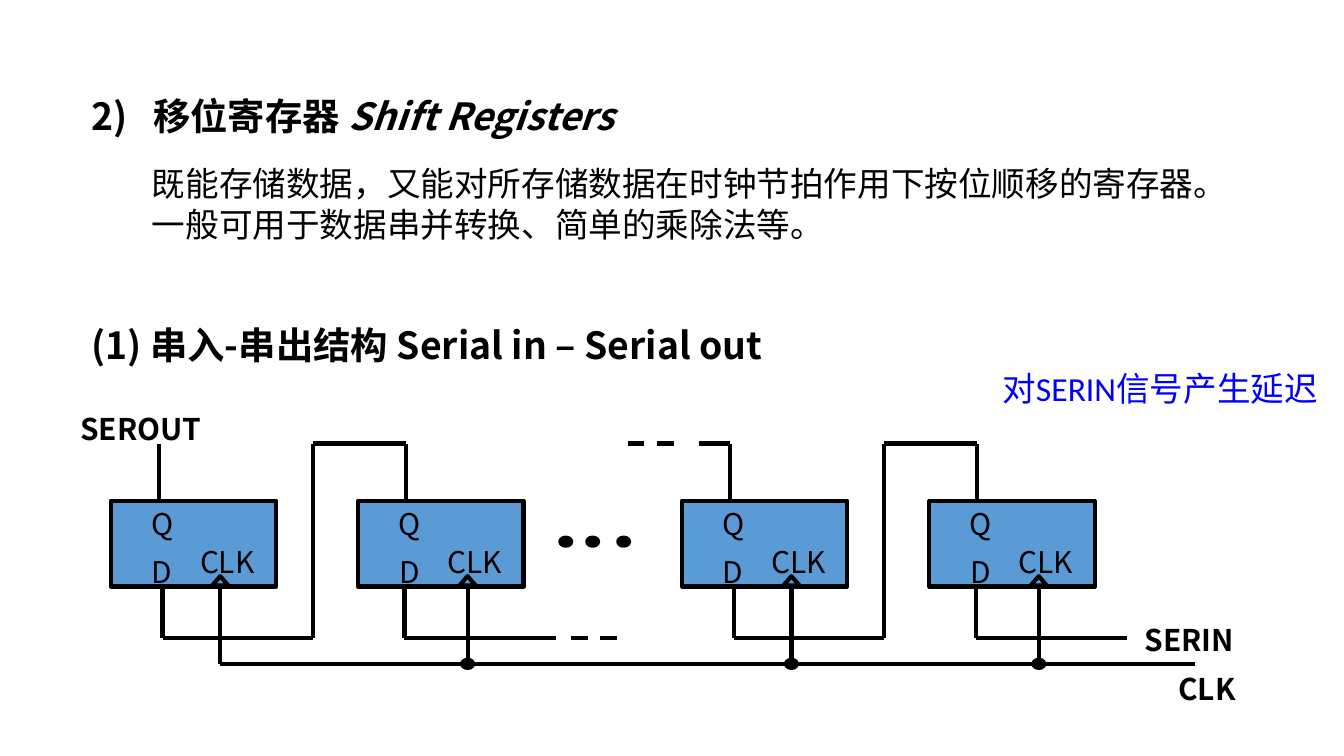
from dataclasses import dataclass

from lxml import etree
from pptx import Presentation
from pptx.dml.color import RGBColor
from pptx.enum import dml, shapes, text
from pptx.oxml import ns
from pptx.util import Pt


@dataclass(frozen=True)
class Theme:
    ink: str = "000000"
    block: str = "5B9BD5"
    note: str = "0000FF"
    heading_font: str = "Noto Sans CJK JP"
    label_font: str = "Noto Sans CJK SC"
    note_font: str = "Calibri"
    heading: int = 20
    body: int = 18
    label: int = 16
    stroke: float = 2.25
    leading: float = 1.22


class Diagram:
    """Draws on one slide; all lengths are in points."""

    def __init__(self, slide, theme):
        self.slide = slide
        self.theme = theme

    def place(self, holder, left, top, width, height):
        holder.left, holder.top = Pt(left), Pt(top)
        holder.width, holder.height = Pt(width), Pt(height)
        frame = holder.text_frame
        frame.word_wrap = True
        frame.auto_size = text.MSO_AUTO_SIZE.NONE
        frame.vertical_anchor = text.MSO_ANCHOR.TOP
        return frame

    def style(self, paragraph, size, font, color, bold=False, leading=None):
        paragraph.alignment = text.PP_ALIGN.LEFT
        paragraph.space_before = Pt(0)
        if leading:
            paragraph.line_spacing = Pt(leading)
        face = paragraph.font
        face.size, face.bold, face.name = Pt(size), bold, font
        face.color.rgb = RGBColor.from_string(color)
        if font != self.theme.note_font:
            properties = paragraph._p.pPr.find(ns.qn("a:defRPr"))
            etree.SubElement(properties, ns.qn("a:ea"), typeface=font)

    def title(self, number, chinese, english, tab, box):
        t = self.theme
        paragraph = self.place(self.slide.shapes.title, *box).paragraphs[0]
        paragraph.add_run().text = f"{number}\t{chinese} "
        translation = paragraph.add_run()
        translation.text = english
        translation.font.italic = True
        stops = etree.SubElement(paragraph._p.get_or_add_pPr(), ns.qn("a:tabLst"))
        etree.SubElement(stops, ns.qn("a:tab"), pos=str(Pt(tab)), algn="l")
        self.style(paragraph, t.heading, t.heading_font, t.ink, True, 23)

    def body(self, lines, box):
        t = self.theme
        frame = self.place(self.slide.placeholders[1], *box)
        frame.text = "\n".join(lines)
        for paragraph in frame.paragraphs:
            properties = paragraph._p.get_or_add_pPr()
            properties.set("marL", "0")
            properties.set("indent", "0")
            etree.SubElement(properties, ns.qn("a:buNone"))
            self.style(paragraph, t.body, t.heading_font, t.ink,
                       leading=t.body * t.leading)

    def text(self, words, box, size, font, color, bold=False, leading=None):
        frame = self.place(self.slide.shapes.add_textbox(0, 0, 0, 0), *box)
        frame.text = words
        self.style(frame.paragraphs[0], size, font, color, bold, leading)

    def label(self, words, left, top, width, bold=False):
        t = self.theme
        self.text(words, (left, top, width, 26.6), t.label, t.label_font,
                  t.ink, bold, t.label * t.leading)

    def shape(self, kind, left, top, width, height, fill):
        item = self.slide.shapes.add_shape(
            kind, Pt(left), Pt(top), Pt(width), Pt(height))
        item.shadow.inherit = False
        item.fill.solid()
        item.fill.fore_color.rgb = RGBColor.from_string(fill)
        self.stroke(item)

    def dot(self, x, y):
        width, height = 5.8, 4.3
        self.shape(shapes.MSO_SHAPE.OVAL, x - width / 2, y - height / 2,
                   width, height, self.theme.ink)

    def wire(self, x1, y1, x2, y2, dashed=False):
        line = self.slide.shapes.add_connector(
            shapes.MSO_CONNECTOR.STRAIGHT, Pt(x1), Pt(y1), Pt(x2), Pt(y2))
        etree.SubElement(line._element.spPr, ns.qn("a:effectLst"))
        self.stroke(line)
        if dashed:
            line.line.dash_style = dml.MSO_LINE.DASH

    def stroke(self, item):
        item.line.color.rgb = RGBColor.from_string(self.theme.ink)
        item.line.width = Pt(self.theme.stroke)


# Circuit levels and offsets from a flip-flop's left edge
Q_RAIL, BLOCK_TOP, BLOCK_BOTTOM, D_RAIL, CLK_BUS = 237.6, 268.2, 314.3, 342, 355.7
Q_PIN, CLK_PIN, LOOP = 25.7, 58.6, -24.1
D_PINS = (27.7, 24.8)
PAIR_STARTS, STAGE_PITCH = (59.4, 365.4), 132.5
D_WIRE = 81.2


def flip_flop(diagram, left, d_pin):
    diagram.shape(shapes.MSO_SHAPE.RECTANGLE, left, BLOCK_TOP, 88.6,
                  BLOCK_BOTTOM - BLOCK_TOP, diagram.theme.block)
    for pin, dx, top, width in (("D", 14.8, 293, 19.4), ("Q", 14.6, 267.1, 19.4),
                                ("CLK", 40.7, 287.3, 46.1)):
        diagram.label(pin, left + dx, top, width)
    diagram.wire(left + d_pin, D_RAIL, left + d_pin, BLOCK_BOTTOM)
    diagram.wire(left + Q_PIN, BLOCK_TOP, left + Q_PIN, Q_RAIL)
    diagram.wire(left + CLK_PIN, CLK_BUS, left + CLK_PIN, BLOCK_BOTTOM)
    diagram.shape(shapes.MSO_SHAPE.FLOWCHART_EXTRACT, left + CLK_PIN - 4.3, 308.7,
                  8.6, 5, diagram.theme.block)


def main():
    deck = Presentation()
    deck.slide_width, deck.slide_height = Pt(720), Pt(405)
    t = Theme()
    diagram = Diagram(deck.slides.add_slide(deck.slide_layouts[1]), t)

    # Headings and description
    diagram.title("2)", "移位寄存器", "Shift Registers", 33, (41.8, 47.5, 498, 40.3))
    diagram.body(("既能存储数据，又能对所存储数据在时钟节拍作用下按位顺移的寄存器。",
                  "一般可用于数据串并转换、简单的乘除法等。"), (74.2, 83.5, 619, 51))
    diagram.text("(1) 串入-串出结构 Serial in – Serial out", (41.8, 168.5, 516, 31),
                 t.heading, t.heading_font, t.ink, True, t.heading * t.leading)

    # Two pairs of flip-flops, each pair joined by a D-to-Q loop
    for start in PAIR_STARTS:
        following = start + STAGE_PITCH
        for left, d_pin in zip((start, following), D_PINS):
            flip_flop(diagram, left, d_pin)
        loop = following + LOOP
        diagram.wire(start + D_PINS[0], D_RAIL, loop, D_RAIL)
        diagram.wire(loop, Q_RAIL, loop, D_RAIL)
        diagram.wire(loop, Q_RAIL, following + Q_PIN, Q_RAIL)
        diagram.wire(following + D_PINS[1], D_RAIL,
                     following + D_PINS[1] + D_WIRE, D_RAIL)

    # Omitted stages between the pairs
    diagram.wire(306, D_RAIL, 336.2, D_RAIL, dashed=True)
    diagram.wire(336.2, Q_RAIL, 367.2, Q_RAIL, dashed=True)
    diagram.wire(374.4, Q_RAIL, PAIR_STARTS[1] + Q_PIN, Q_RAIL)
    for x in (303.1, 317.5, 334.1):
        diagram.dot(x, 290.2)

    # Clock bus with its junctions
    diagram.wire(PAIR_STARTS[0] + CLK_PIN, CLK_BUS, 640, CLK_BUS)
    stages = [start + step for start in PAIR_STARTS for step in (0, STAGE_PITCH)]
    for left in stages[1:]:
        diagram.dot(left + CLK_PIN, CLK_BUS)

    # Signal names and note
    diagram.label("SEROUT", 36, 216, 108, bold=True)
    diagram.label("SERIN", 606.2, 329, 95.8, bold=True)
    diagram.label("CLK", 624.2, 355.7, 84.2, bold=True)
    diagram.text("对SERIN信号产生延迟", (529.9, 193.7, 185.8, 28.8),
                 t.body, t.note_font, t.note)

    deck.save("out.pptx")


if __name__ == "__main__":
    main()
